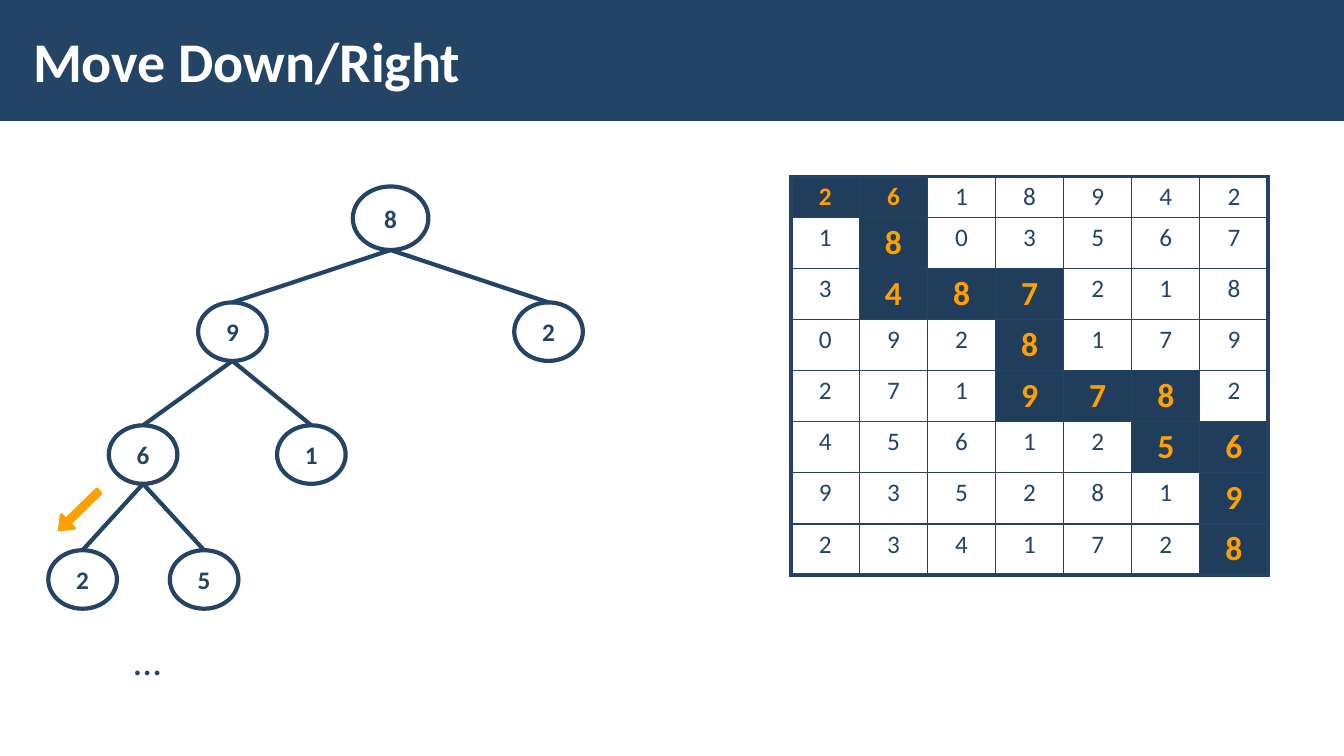
from dataclasses import dataclass
from typing import Any

import pptx
import pptx.dml.color
import pptx.enum.shapes
import pptx.enum.text
import pptx.oxml
import pptx.oxml.ns
import pptx.util
from lxml import etree

Pt = pptx.util.Pt
RGBColor = pptx.dml.color.RGBColor
MSO_SHAPE = pptx.enum.shapes.MSO_SHAPE
PP_ALIGN = pptx.enum.text.PP_ALIGN
MSO_ANCHOR = pptx.enum.text.MSO_ANCHOR
qn = pptx.oxml.ns.qn

NAVY = RGBColor(0x23, 0x44, 0x65)
DARK_NAVY = RGBColor(0x20, 0x3D, 0x5B)
ORANGE = RGBColor(0xFF, 0xA0, 0x00)
WHITE = RGBColor(0xFF, 0xFF, 0xFF)

MIDDLE_NO_SIDES = {
    "margin_left": 0, "margin_right": 0, "margin_top": Pt(3), "margin_bottom": Pt(3),
    "vertical_anchor": MSO_ANCHOR.MIDDLE, "word_wrap": True,
}


@dataclass(frozen=True)
class Node:
    """A tree node, placed by its top centre, with the index of its parent."""
    value: str
    center: float
    top: float
    parent: int | None
    width: float = 49
    height: float = 41.8


TREE = [
    Node("8", 279, 133.2, None, 54, 45.4),
    Node("9", 166, 216, 0),
    Node("2", 391.8, 216, 0),
    Node("6", 102.2, 303.8, 1),
    Node("1", 222.4, 303.8, 1),
    Node("2", 59, 393, 3),
    Node("5", 145.8, 393, 3),
]


@dataclass(frozen=True)
class GridRow:
    """A row of digits and the first and last column of the route through it."""
    digits: str
    first: int
    last: int
    height: float = 36.5
    route_size: float = 24


GRID = [
    GridRow("2618942", 0, 1, 29.2, 18),
    GridRow("1803567", 1, 1),
    GridRow("3487218", 1, 3),
    GridRow("0928179", 3, 3),
    GridRow("2719782", 3, 5),
    GridRow("4561256", 5, 6),
    GridRow("9352819", 6, 6),
    GridRow("2341728", 6, 6),
]
GRID_LEFT, GRID_TOP, COLUMN_WIDTH = 565.2, 126, 48.65


def set_format(target: Any, values: dict[str, Any]) -> None:
    for name, value in values.items():
        setattr(target, name, value)


def write(frame: Any, text: str, size: float, color: RGBColor, bold: bool = False,
          align: Any = PP_ALIGN.CENTER) -> None:
    paragraph = frame.paragraphs[0]
    paragraph.alignment = align
    run = paragraph.add_run()
    run.text = text
    set_format(run.font, {"name": "Calibri", "size": Pt(size), "bold": bold})
    run.font.color.rgb = color


def add_filled(slide: Any, preset: Any, left: float, top: float, width: float,
               height: float, fill: RGBColor) -> Any:
    shape = slide.shapes.add_shape(preset, Pt(left), Pt(top), Pt(width), Pt(height))
    shape.shadow.inherit = False
    shape.fill.solid()
    shape.fill.fore_color.rgb = fill
    return shape


def set_line(shape: Any, color: RGBColor, width: float) -> None:
    shape.line.color.rgb = color
    shape.line.width = Pt(width)


def draw_edge(slide: Any, child: Node, parent: Node) -> None:
    edge = slide.shapes.add_connector(
        pptx.enum.shapes.MSO_CONNECTOR.STRAIGHT, Pt(child.center), Pt(child.top),
        Pt(parent.center), Pt(parent.top + parent.height))
    set_line(edge, NAVY, 3)
    etree.SubElement(edge.element.spPr, qn("a:effectLst"))


def draw_node(slide: Any, node: Node) -> None:
    circle = add_filled(slide, MSO_SHAPE.OVAL, node.center - node.width / 2, node.top,
                        node.width, node.height, WHITE)
    white = circle.element.spPr.find(qn("a:solidFill"))[0]
    etree.SubElement(white, qn("a:alpha"), val="50000")
    set_line(circle, NAVY, 3)
    set_format(circle.text_frame, MIDDLE_NO_SIDES)
    write(circle.text_frame, node.value, 18, NAVY, True)


def add_border(cell: Any, side: str, width: float) -> None:
    border = etree.SubElement(cell._tc.get_or_add_tcPr(), qn(f"a:ln{side}"),
                              w=str(int(Pt(width))))
    fill = etree.SubElement(border, qn("a:solidFill"))
    etree.SubElement(fill, qn("a:srgbClr"), val=str(NAVY))


def draw_grid(slide: Any, rows: list[GridRow]) -> None:
    columns = len(rows[0].digits)
    table = slide.shapes.add_table(
        len(rows), columns, Pt(GRID_LEFT), Pt(GRID_TOP), Pt(COLUMN_WIDTH * columns),
        Pt(sum(row.height for row in rows))).table
    set_format(table, {"first_row": False, "horz_banding": False})
    for column in table.columns:
        column.width = Pt(COLUMN_WIDTH)
    for r, row in enumerate(rows):
        table.rows[r].height = Pt(row.height)
        for c, digit in enumerate(row.digits):
            cell = table.cell(r, c)
            outer = {"L": c == 0, "R": c == columns - 1,
                     "T": r == 0, "B": r == len(rows) - 1}
            for side, is_outer in outer.items():
                add_border(cell, side, 3 if is_outer else 1)
            if row.first <= c <= row.last:
                cell.fill.solid()
                cell.fill.fore_color.rgb = DARK_NAVY
                write(cell.text_frame, digit, row.route_size, ORANGE, True)
            else:
                cell.fill.background()
                write(cell.text_frame, digit, 18, NAVY)


def main() -> None:
    deck = pptx.Presentation()
    set_format(deck, {"slide_width": Pt(960), "slide_height": Pt(540)})
    slide = deck.slides.add_slide(deck.slide_layouts[5])

    # Header bar behind the title
    title = slide.shapes.title
    header = add_filled(slide, MSO_SHAPE.RECTANGLE, 0, 0, 960, 86.4, NAVY)
    header.line.fill.background()
    title.element.addprevious(header.element)
    set_format(title, {"left": Pt(15), "top": Pt(8), "width": Pt(765), "height": Pt(70)})
    set_format(title.text_frame, MIDDLE_NO_SIDES | {
        "margin_left": Pt(8.64), "margin_right": Pt(8.64),
        "auto_size": pptx.enum.text.MSO_AUTO_SIZE.NONE})
    write(title.text_frame, "Move Down/Right", 40, WHITE, True, PP_ALIGN.LEFT)

    # Tree of choices, edges below nodes
    for node in TREE:
        if node.parent is not None:
            draw_edge(slide, node, TREE[node.parent])
    for node in TREE:
        draw_node(slide, node)

    # Arrow along the current step
    step = add_filled(slide, MSO_SHAPE.RIGHT_ARROW, 36.7, 357.8, 39.6, 13.7, ORANGE)
    set_line(step, ORANGE, 2)
    step.rotation = 135.7
    step.adjustments[0], step.adjustments[1] = 0.32, 0.63

    # Grid with the route
    draw_grid(slide, GRID)

    # Sign that the tree goes on
    more = slide.shapes.add_textbox(Pt(88.6), Pt(450.7), Pt(33.8), Pt(41))
    more.text_frame.word_wrap = False
    write(more.text_frame, "…", 28, NAVY, align=PP_ALIGN.LEFT)

    deck.save("out.pptx")


if __name__ == "__main__":
    main()
